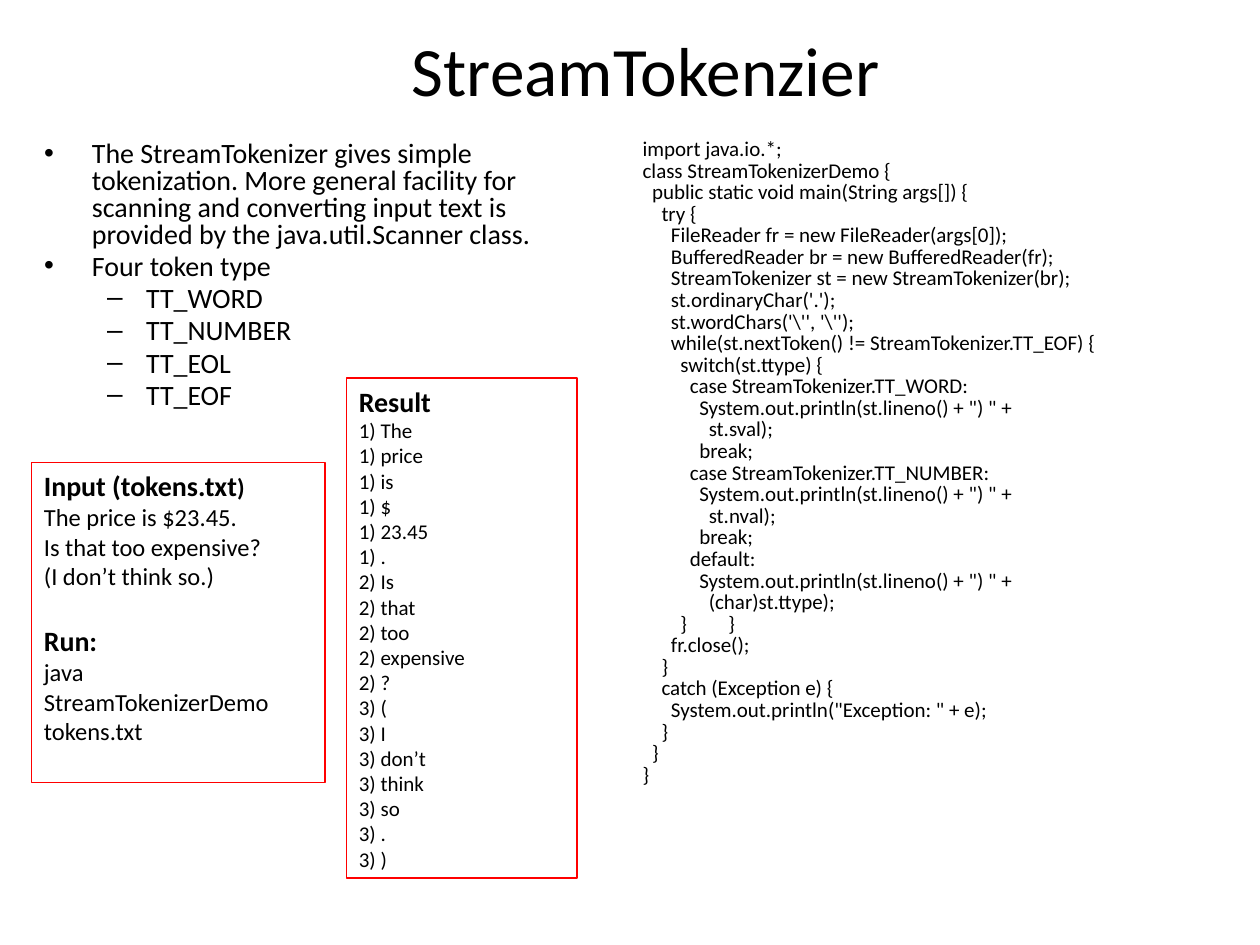
"""Build the StreamTokenizer slide: notes, code listing, input and result boxes."""
import lxml.etree
import pptx
import pptx.dml.color
import pptx.enum.shapes
import pptx.enum.text
import pptx.oxml.ns
import pptx.util

Inches, Pt = pptx.util.Inches, pptx.util.Pt
BLACK = pptx.dml.color.RGBColor(0, 0, 0)
RED = pptx.dml.color.RGBColor(255, 0, 0)
FONT = "Calibri"
SLIDE_WIDTH, SLIDE_HEIGHT = 10, 7.5
CODE_STEP = 0.075
CODE_HANG = 0.38
BRACE_GAP = 0.35
BULLET_INDENTS = [(0.38, -0.38), (0.81, -0.31)]

TITLE = "StreamTokenzier"
NOTES = [
    (0, "The StreamTokenizer gives simple tokenization. More general facility for "
        "scanning and converting input text is provided by the java.util.Scanner class."),
    (0, "Four token type"),
    (1, "TT_WORD"),
    (1, "TT_NUMBER"),
    (1, "TT_EOL"),
    (1, "TT_EOF"),
]
PRINT_LINE = 'System.out.println(st.lineno() + ") " +'
CODE = [
    (0, "import java.io.*;"),
    (0, "class StreamTokenizerDemo {"),
    (1, "public static void main(String args[]) {"),
    (2, "try {"),
    (3, "FileReader fr = new FileReader(args[0]);"),
    (3, "BufferedReader br = new BufferedReader(fr);"),
    (3, "StreamTokenizer st = new StreamTokenizer(br);"),
    (3, "st.ordinaryChar('.');"),
    (3, r"st.wordChars('\'', '\'');"),
    (3, "while(st.nextToken() != StreamTokenizer.TT_EOF) {"),
    (4, "switch(st.ttype) {"),
    (5, "case StreamTokenizer.TT_WORD:"),
    (6, PRINT_LINE),
    (7, "st.sval);"),
    (6, "break;"),
    (5, "case StreamTokenizer.TT_NUMBER:"),
    (6, PRINT_LINE),
    (7, "st.nval);"),
    (6, "break;"),
    (5, "default:"),
    (6, PRINT_LINE),
    (7, "(char)st.ttype);"),
    (4, "}\t}"),
    (3, "fr.close();"),
    (2, "}"),
    (2, "catch (Exception e) {"),
    (3, 'System.out.println("Exception: " + e);'),
    (2, "}"),
    (1, "}"),
    (0, "}"),
]
RESULT_LINES = [
    (1, ["The", "price", "is", "$", "23.45", "."]),
    (2, ["Is", "that", "too", "expensive", "?"]),
    (3, ["(", "I", "don’t", "think", "so", ".", ")"]),
]
HEADING = {"size": Pt(16), "bold": True}
SMALL_HEADING = {"size": Pt(14), "bold": True}
INPUT_TEXT = {"size": Pt(14), "bold": False}
RESULT_TEXT = {"size": Pt(12), "bold": False}
INPUT_BOX = [
    (0, [("Input (tokens.txt", HEADING), (")", SMALL_HEADING)]),
    (0, [("The price is $23.45.", INPUT_TEXT)]),
    (0, [("Is that too expensive?", INPUT_TEXT)]),
    (0, [("(I don’t think so.)", INPUT_TEXT)]),
    (19, [("Run:", HEADING)]),
    (0, [("java StreamTokenizerDemo tokens.txt", INPUT_TEXT)]),
]
RESULT_BOX = [(0, [("Result", HEADING)])] + [
    (0, [(f"{line}) {token}", RESULT_TEXT)])
    for line, tokens in RESULT_LINES for token in tokens
]
BOXES = [
    ((0.25, 3.67, 2.33, 2.54), INPUT_BOX),
    ((2.75, 3, 1.83, 3.97), RESULT_BOX),
]


def apply_format(target, values):
    for name, value in values.items():
        setattr(target, name, value)


def place(shape, left, top, width, height):
    apply_format(shape, {"left": Inches(left), "top": Inches(top),
                         "width": Inches(width), "height": Inches(height)})


def add_run(paragraph, text, values):
    run = paragraph.add_run()
    run.text = text
    apply_format(run.font, {"name": FONT, **values})
    run.font.color.rgb = BLACK


def next_paragraph(frame, position):
    return frame.add_paragraph() if position else frame.paragraphs[0]


def add_element(parent, tag, **attributes):
    return lxml.etree.SubElement(parent, pptx.oxml.ns.qn(tag), attributes)


def set_indent(paragraph, margin, hanging):
    properties = paragraph._p.get_or_add_pPr()
    properties.set("marL", str(Inches(margin)))
    properties.set("indent", str(Inches(hanging)))
    return properties


def fill_body(placeholder, lines, size, spacing, before, is_code):
    frame = placeholder.text_frame
    apply_format(frame, {"auto_size": pptx.enum.text.MSO_AUTO_SIZE.NONE, "word_wrap": True})
    for position, (level, text) in enumerate(lines):
        paragraph = next_paragraph(frame, position)
        apply_format(paragraph, {"line_spacing": spacing, "space_before": Pt(before)})
        if is_code:
            start = level * CODE_STEP
            properties = set_indent(paragraph, start + CODE_HANG, -CODE_HANG)
            add_element(properties, "a:buNone")
            if "\t" in text:
                tabs = add_element(properties, "a:tabLst")
                add_element(tabs, "a:tab", pos=str(Inches(start + BRACE_GAP)), algn="l")
        else:
            paragraph.level = level
            set_indent(paragraph, *BULLET_INDENTS[level])
        for piece_position, piece in enumerate(text.split("\t")):
            add_run(paragraph, "\t" * bool(piece_position) + piece, {"size": Pt(size)})


def add_box(slide, area, lines):
    box = slide.shapes.add_shape(
        pptx.enum.shapes.MSO_SHAPE.RECTANGLE, *[Inches(length) for length in area])
    box.shadow.inherit = False
    box.fill.background()
    box.line.color.rgb = RED
    box.line.width = Pt(0.75)
    frame = box.text_frame
    apply_format(frame, {"word_wrap": True,
                         "vertical_anchor": pptx.enum.text.MSO_ANCHOR.TOP})
    for position, (before, runs) in enumerate(lines):
        paragraph = next_paragraph(frame, position)
        apply_format(paragraph, {"alignment": pptx.enum.text.PP_ALIGN.LEFT,
                                 "space_before": Pt(before)})
        for text, values in runs:
            add_run(paragraph, text, values)


def main():
    presentation = pptx.Presentation()
    apply_format(presentation, {"slide_width": Inches(SLIDE_WIDTH),
                                "slide_height": Inches(SLIDE_HEIGHT)})
    slide = presentation.slides.add_slide(presentation.slide_layouts[3])
    title, notes, code = list(slide.placeholders)[:3]
    place(title, 0.5, 0.17, 9.25, 0.75)
    apply_format(title.text_frame, {"auto_size": pptx.enum.text.MSO_AUTO_SIZE.NONE,
                                    "vertical_anchor": pptx.enum.text.MSO_ANCHOR.MIDDLE})
    title.text_frame.paragraphs[0].alignment = pptx.enum.text.PP_ALIGN.CENTER
    add_run(title.text_frame.paragraphs[0], TITLE, {"size": Pt(39.6)})
    place(notes, 0.25, 1.08, 4.67, 2.58)
    fill_body(notes, NOTES, 16, 0.8, 3, False)
    place(code, SLIDE_WIDTH / 2, 1.08, 4.75, 5.92)
    fill_body(code, CODE, 12, 0.7, 2.25, True)
    for area, lines in BOXES:
        add_box(slide, area, lines)
    presentation.save("out.pptx")


if __name__ == "__main__":
    main()
